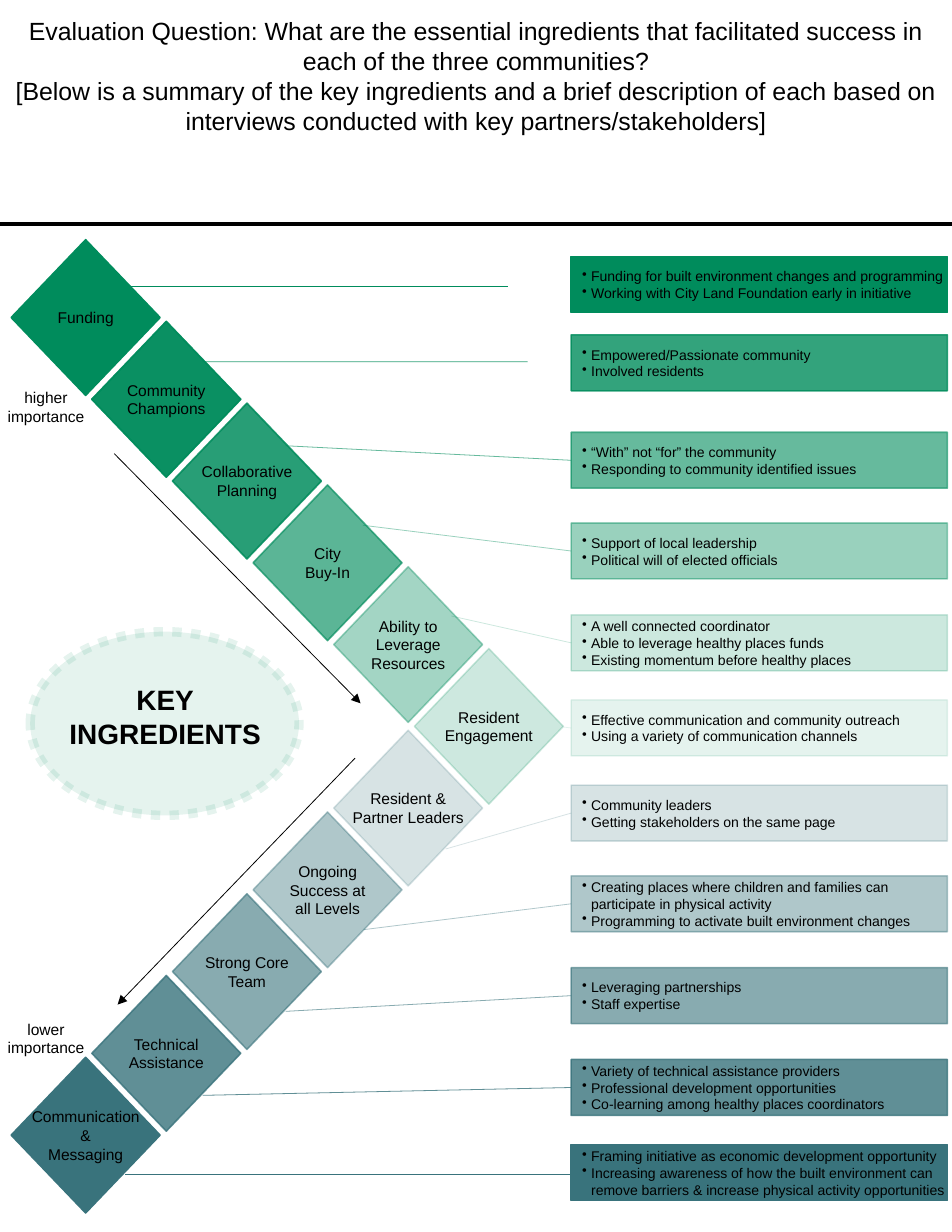
import pptx
import pptx.util
from lxml import etree
from pptx.dml.color import RGBColor
from pptx.enum.dml import MSO_LINE
from pptx.enum.shapes import MSO_CONNECTOR, MSO_SHAPE
from pptx.enum.text import MSO_ANCHOR, MSO_AUTO_SIZE, PP_ALIGN
from pptx.oxml.ns import qn

Inches, Pt = pptx.util.Inches, pptx.util.Pt

# Content
GREEN, TEAL, BLACK = "008C5C", "39737C", "000000"
HEADING = [
    "Evaluation Question: What are the essential ingredients that facilitated "
    "success in each of the three communities?",
    "[Below is a summary of the key ingredients and a brief description of each "
    "based on interviews conducted with key partners/stakeholders]",
]
# label, colour, opacity, box top, leader (from, to), description
INGREDIENTS = [
    ("Funding", GREEN, 100, 2.29, ((1.14, 2.56), (4.54, 2.56)),
     ["Funding for built environment changes and programming",
      "Working with City Land Foundation early in initiative"]),
    ("Community\vChampions", GREEN, 80, 2.99, ((1.81, 3.23), (4.71, 3.23)),
     ["Empowered/Passionate community", "Involved residents"]),
    ("Collaborative\vPlanning", GREEN, 60, 3.86, ((2.55, 3.98), (5.1, 4.11)),
     ["“With” not “for” the community",
      "Responding to community identified issues"]),
    ("City\vBuy-In", GREEN, 40, 4.67, ((3.24, 4.69), (5.1, 4.92)),
     ["Support of local leadership", "Political will of elected officials"]),
    ("Ability to\vLeverage\vResources", GREEN, 20, 5.49, ((4.03, 5.5), (5.1, 5.74)),
     ["A well connected coordinator", "Able to leverage healthy places funds",
      "Existing momentum before healthy places"]),
    ("Resident\vEngagement", GREEN, 10, 6.25, ((5.02, 6.49), (5.1, 6.5)),
     ["Effective communication and community outreach",
      "Using a variety of communication channels"]),
    ("Resident &\vPartner Leaders", TEAL, 20, 7.01, ((3.98, 7.58), (5.1, 7.26)),
     ["Community leaders", "Getting stakeholders on the same page"]),
    ("Ongoing\vSuccess at\vall Levels", TEAL, 40, 7.82, ((3.25, 8.3), (5.1, 8.07)),
     ["Creating places where children and families can\v"
      "participate in physical activity",
      "Programming to activate built environment changes"]),
    ("Strong Core\vTeam", TEAL, 60, 8.64, ((2.55, 9.03), (5.1, 8.89)),
     ["Leveraging partnerships", "Staff expertise"]),
    ("Technical\vAssistance", TEAL, 80, 9.46, ((1.81, 9.78), (5.1, 9.71)),
     ["Variety of technical assistance providers",
      "Professional development opportunities",
      "Co-learning among healthy places coordinators"]),
    ("Communication\v&\vMessaging", TEAL, 100, 10.22, ((1.12, 10.49), (5.1, 10.49)),
     ["Framing initiative as economic development opportunity",
      "Increasing awareness of how the built environment can\v"
      "remove barriers & increase physical activity opportunities"]),
]
IMPORTANCE = [("higher", 3.41), ("lower", 9.05)]
IMPORTANCE_ARROWS = [((1.02, 4.05), (3.22, 6.28)), ((3.17, 6.77), (1.05, 8.97))]

# Geometry
DIAMOND_W, DIAMOND_H = 1.33, 1.39
DIAMOND_LEFT, DIAMOND_TOP = 0.1, 2.14
STEP_X, STEP_Y = 0.72, 0.73
TURN = 5  # the row of diamonds turns back at this ingredient
BOX_LEFT, BOX_W, BOX_H = 5.1, 3.36, 0.5
BULLET_INDENT = 0.08


def rgb(value):
    return RGBColor.from_string(value)


def set_opacity(part, percent):
    if percent < 100:
        for colour in part._element.spPr.iter(qn("a:srgbClr")):
            etree.SubElement(colour, qn("a:alpha"), val=str(percent * 1000))


def write(shape, paragraphs, size=10, bold=False, align=PP_ALIGN.CENTER,
          anchor=MSO_ANCHOR.MIDDLE, wrap=True, insets=(0.1, 0.05, 0.1, 0.05),
          bullets=False):
    frame = shape.text_frame
    frame.auto_size = MSO_AUTO_SIZE.NONE
    frame.word_wrap = wrap
    frame.vertical_anchor = anchor
    (frame.margin_left, frame.margin_top,
     frame.margin_right, frame.margin_bottom) = map(Inches, insets)
    frame.text = "\n".join(paragraphs)
    for paragraph in frame.paragraphs:
        paragraph.alignment = align
        if bullets:
            props = paragraph._p.get_or_add_pPr()
            indent = Inches(BULLET_INDENT)
            props.set("marL", str(indent))
            props.set("indent", str(-indent))
            etree.SubElement(props, qn("a:buChar"), char="•")
        font = paragraph.font
        font.name, font.size, font.bold = "Arial", Pt(size), bold
        font.color.rgb = rgb(BLACK)


def add_filled(slide, kind, left, top, width, height, colour, opacity, weight=1, dash=None):
    shape = slide.shapes.add_shape(kind, *map(Inches, (left, top, width, height)))
    shape.shadow.inherit = False
    shape.fill.solid()
    shape.fill.fore_color.rgb = rgb(colour)
    shape.line.color.rgb = rgb(colour)
    shape.line.width = Pt(weight)
    if dash:
        shape.line.dash_style = dash
    set_opacity(shape, opacity)
    return shape


def add_line(slide, start, end, colour=BLACK, weight=0.5, opacity=100, arrow=False):
    line = slide.shapes.add_connector(
        MSO_CONNECTOR.STRAIGHT, *map(Inches, (*start, *end)))
    line.line.color.rgb = rgb(colour)
    line.line.width = Pt(weight)
    set_opacity(line, opacity)
    props = line._element.spPr
    if arrow:
        etree.SubElement(props.find(qn("a:ln")), qn("a:tailEnd"), type="triangle")
    etree.SubElement(props, qn("a:effectLst"))


def add_text(slide, left, top, width, height, paragraphs, **style):
    write(slide.shapes.add_textbox(*map(Inches, (left, top, width, height))),
          paragraphs, **style)


def main():
    deck = pptx.Presentation()
    deck.slide_width, deck.slide_height = Inches(8.5), Inches(11)
    slide = deck.slides.add_slide(deck.slide_layouts[5])

    # Heading and rule
    heading = slide.shapes.title
    heading.left, heading.top, heading.width, heading.height = map(
        Inches, (0, 0.09, 8.5, 1.18))
    write(heading, HEADING, size=16, anchor=MSO_ANCHOR.TOP)
    add_line(slide, (0, 2), (8.5, 2), weight=2.25)

    # Leaders lie under the boxes and diamonds
    for _, colour, opacity, _, (start, end), _ in INGREDIENTS:
        add_line(slide, start, end, colour, opacity=opacity)

    # Diamonds and description boxes
    for i, (label, colour, opacity, box_top, _, description) in enumerate(INGREDIENTS):
        box = add_filled(slide, MSO_SHAPE.RECTANGLE, BOX_LEFT, box_top, BOX_W, BOX_H,
                         colour, opacity)
        write(box, description, size=9, align=PP_ALIGN.LEFT,
              insets=(0.1, 0, 0, 0), bullets=True)

        left = DIAMOND_LEFT + STEP_X * (TURN - abs(TURN - i))
        top = DIAMOND_TOP + STEP_Y * i
        # Two translucent layers deepen the green diamonds
        for _ in range(2 if colour == GREEN and opacity < 100 else 1):
            diamond = add_filled(slide, MSO_SHAPE.DIAMOND, left, top,
                                 DIAMOND_W, DIAMOND_H, colour, opacity)
        write(diamond, [label], wrap=False, insets=(0, 0, 0, 0))

    # Central theme
    add_filled(slide, MSO_SHAPE.OVAL, 0.27, 5.64, 2.4, 1.64, GREEN, 10,
               weight=6, dash=MSO_LINE.ROUND_DOT)
    add_text(slide, 0.29, 6.04, 2.37, 0.71, ["KEY", "INGREDIENTS"], size=18, bold=True)

    # Importance scale
    for start, end in IMPORTANCE_ARROWS:
        add_line(slide, start, end, arrow=True)
    for level, top in IMPORTANCE:
        add_text(slide, 0, top, 0.82, 0.44, [level, "importance"],
                 wrap=False, insets=(0, 0.05, 0, 0.05))

    deck.save("out.pptx")


if __name__ == "__main__":
    main()
